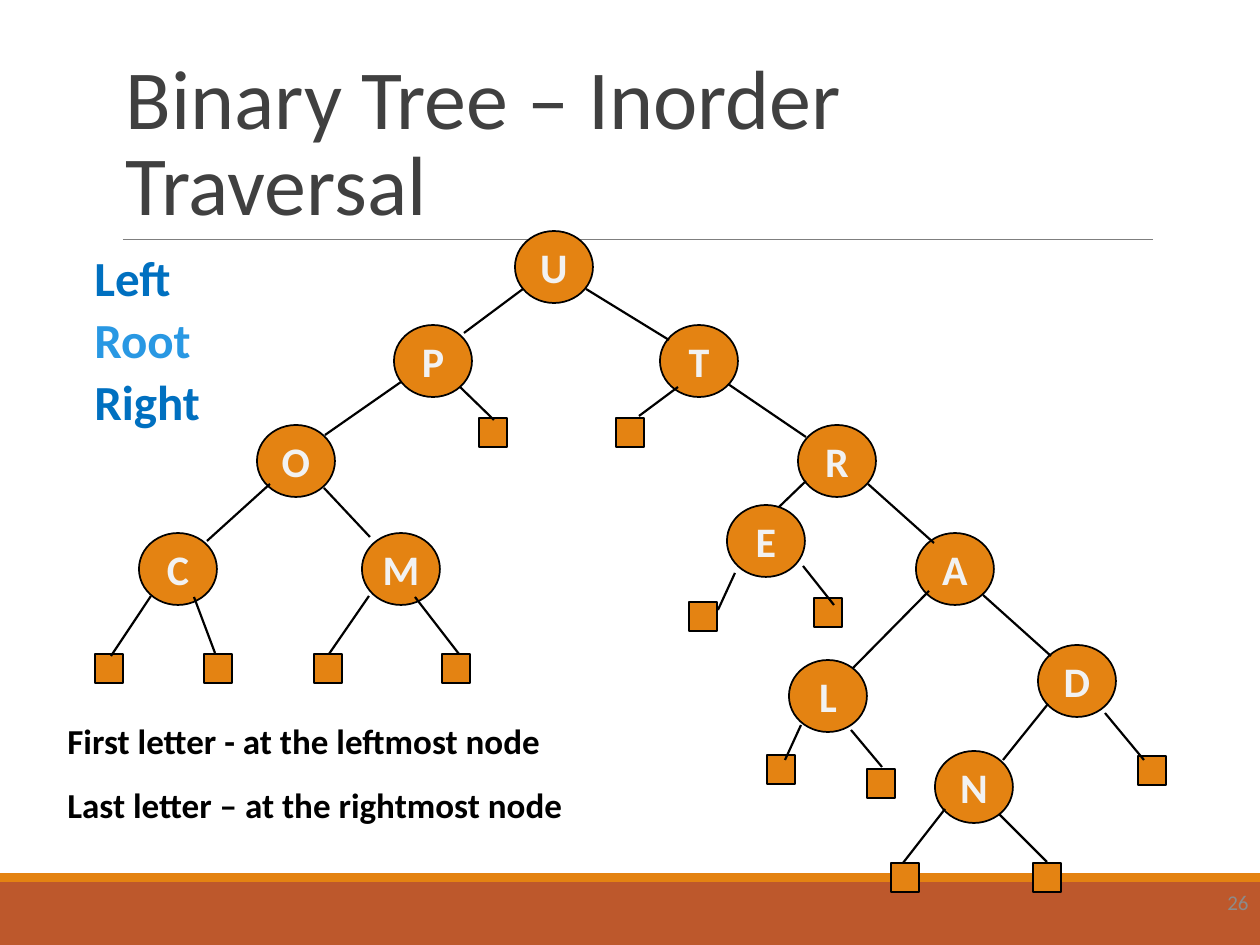
"""Build the slide on inorder traversal of a binary tree."""
from lxml import etree
from pptx import Presentation
from pptx import util as u
from pptx.dml.color import RGBColor
from pptx.enum import shapes, text
from pptx.oxml.ns import qn

ORANGE = RGBColor(0xE4, 0x83, 0x12)
RUST = RGBColor(0xBD, 0x58, 0x2C)
BLACK = RGBColor(0, 0, 0)
PALE = RGBColor(0xF2, 0xF2, 0xF2)
GREY = RGBColor(0x7F, 0x7F, 0x7F)
NUMBER_GREY = RGBColor(0x8B, 0x8B, 0x8B)
DARK = RGBColor(0x40, 0x40, 0x40)
BLUE = RGBColor(0x00, 0x70, 0xC0)
LIGHT_BLUE = RGBColor(0x29, 0x98, 0xE3)

EMU_PER_PX = 914400 / 126
SLIDE_SIZE = (1260, 945)
BANDS = [((0, 882, 1260, 63), RUST), ((0, 873, 1260, 9), ORANGE)]
TITLE_RULE = (123, 239, 1153, 239)

NODE_SIZE = (78, 72)
NODES = {
    "U": (515, 231), "P": (394, 325), "T": (660, 325), "O": (257, 425),
    "R": (798, 425), "C": (139, 533), "M": (362, 533), "E": (727, 505),
    "A": (916, 533), "L": (789, 660), "D": (1038, 645), "N": (935, 751),
}
LEAF_SIZE = (28, 29)
LEAVES = [
    (95, 654), (204, 654), (314, 654), (442, 654), (479, 418), (616, 418),
    (689, 602), (814, 598), (767, 755), (867, 769), (891, 863), (1033, 863),
    (1138, 756),
]
EDGES = {
    "U": [(523, 289, 464, 333), (586, 289, 669, 340)],
    "P": [(401, 382, 325, 435), (460, 387, 494, 420)],
    "T": [(678, 387, 639, 416), (728, 384, 806, 437)],
    "O": [(270, 484, 207, 541), (324, 488, 370, 537)],
    "R": [(806, 481, 779, 507), (868, 484, 934, 543)],
    "C": [(151, 596, 111, 656), (194, 597, 215, 653)],
    "M": [(369, 596, 329, 654), (415, 597, 459, 654)],
    "E": [(735, 573, 718, 610), (803, 566, 834, 605)],
    "A": [(929, 591, 853, 668), (983, 595, 1051, 656)],
    "L": [(801, 725, 785, 760), (851, 730, 882, 767)],
    "D": [(1048, 704, 1003, 760), (1105, 713, 1144, 760)],
    "N": [(945, 809, 903, 863), (999, 814, 1047, 862)],
}

TEXTS = [
    {"box": (113, 39, 1040, 200), "size": 48, "bold": False,
     "anchor": text.MSO_ANCHOR.BOTTOM,
     "lines": [("Binary Tree – Inorder Traversal", DARK)],
     "format": {"line_spacing": 0.85}},
    {"box": (82, 248, 275, 190), "size": 28, "bold": True,
     "anchor": text.MSO_ANCHOR.TOP,
     "lines": [("Left", BLUE), ("Root", LIGHT_BLUE), ("Right", BLUE)],
     "format": {"line_spacing": 0.9, "space_before": u.Pt(5.2)}},
    {"box": (55, 713, 640, 118), "size": 20, "bold": True,
     "anchor": text.MSO_ANCHOR.TOP,
     "lines": [("First letter - at the leftmost node", BLACK),
               ("Last letter – at the rightmost node", BLACK)],
     "format": {"space_before": u.Pt(12.5)}},
    {"box": (1160, 877, 101, 50), "size": 12, "bold": False,
     "anchor": text.MSO_ANCHOR.MIDDLE,
     "lines": [("26", NUMBER_GREY)],
     "format": {"alignment": text.PP_ALIGN.RIGHT}},
]


def px(*lengths):
    return [u.Emu(round(length * EMU_PER_PX)) for length in lengths]


def set_all(target, values):
    for name, value in values.items():
        setattr(target, name, value)


def write(paragraph, words, size, color, bold):
    run = paragraph.add_run()
    run.text = words
    set_all(run.font, {"name": "Calibri", "size": u.Pt(size), "bold": bold})
    run.font.color.rgb = color


def add_block(slide, kind, box, fill, outlined=True):
    shape = slide.shapes.add_shape(kind, *px(*box))
    shape.shadow.inherit = False
    shape.fill.solid()
    shape.fill.fore_color.rgb = fill
    if outlined:
        shape.line.color.rgb = BLACK
        shape.line.width = u.Pt(1)
    else:
        shape.line.fill.background()
    return shape


def add_line(slide, ends, color, width):
    line = slide.shapes.add_connector(shapes.MSO_CONNECTOR.STRAIGHT, *px(*ends))
    line.line.color.rgb = color
    line.line.width = u.Pt(width)
    etree.SubElement(line._element.spPr, qn("a:effectLst"))


def add_node(slide, letter, corner):
    node = add_block(slide, shapes.MSO_SHAPE.OVAL, corner + NODE_SIZE, ORANGE)
    set_all(node.text_frame, {"word_wrap": False,
                              "vertical_anchor": text.MSO_ANCHOR.MIDDLE})
    paragraph = node.text_frame.paragraphs[0]
    paragraph.alignment = text.PP_ALIGN.CENTER
    write(paragraph, letter, 24, PALE, True)


def add_text(slide, item):
    frame = slide.shapes.add_textbox(*px(*item["box"])).text_frame
    set_all(frame, {"word_wrap": True, "vertical_anchor": item["anchor"]})
    for index, (words, color) in enumerate(item["lines"]):
        paragraph = frame.add_paragraph() if index else frame.paragraphs[0]
        set_all(paragraph, item["format"])
        if index == 0:
            paragraph.space_before = u.Pt(0)
        write(paragraph, words, item["size"], color, item["bold"])


def main():
    presentation = Presentation()
    presentation.slide_width, presentation.slide_height = px(*SLIDE_SIZE)
    slide = presentation.slides.add_slide(presentation.slide_layouts[6])
    for box, color in BANDS:
        add_block(slide, shapes.MSO_SHAPE.RECTANGLE, box, color, outlined=False)
    add_line(slide, TITLE_RULE, GREY, 0.5)
    for letter, corner in NODES.items():
        add_node(slide, letter, corner)
    for corner in LEAVES:
        add_block(slide, shapes.MSO_SHAPE.RECTANGLE, corner + LEAF_SIZE, ORANGE)
    for branches in EDGES.values():
        for ends in branches:
            add_line(slide, ends, BLACK, 1.25)
    for item in TEXTS:
        add_text(slide, item)
    presentation.save("out.pptx")


if __name__ == "__main__":
    main()
